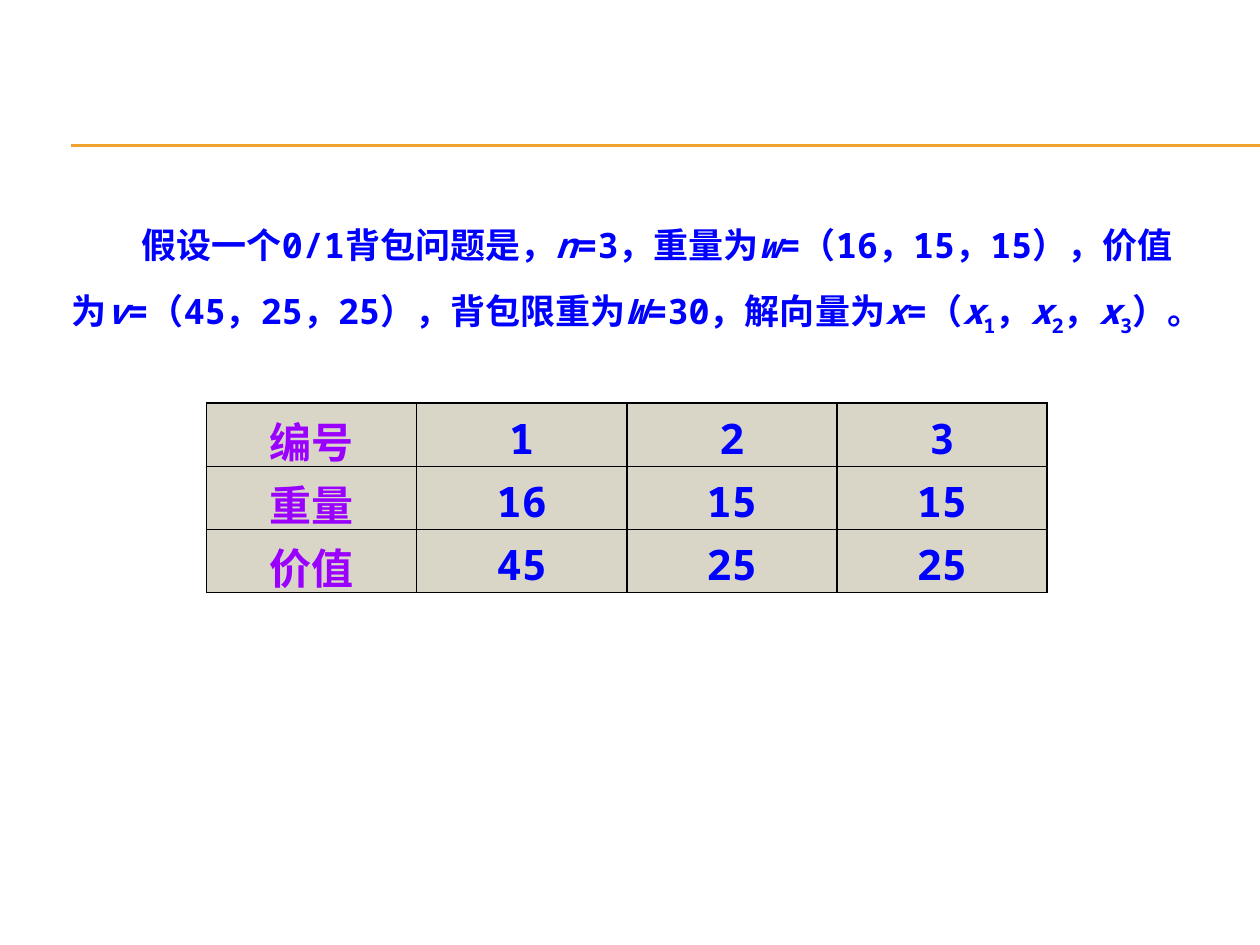
from lxml.etree import SubElement
from pptx import Presentation
from pptx.dml.color import RGBColor
from pptx.enum.shapes import MSO_CONNECTOR as Connector
from pptx.enum.text import MSO_AUTO_SIZE as AutoSize, PP_ALIGN as Align
from pptx.oxml.ns import qn
from pptx.util import Inches, Pt

WIDTH, HEIGHT = 10, 7.5
BLUE, PURPLE, GOLD, BEIGE, BLACK = "0000FF", "9900FF", "F0A22E", "D9D5C7", "000000"


def color(hex_text):
    return RGBColor.from_string(hex_text)


class SlideBuilder:
    """Holds the style and the current slide; lengths are shares of its size."""
    font = "Noto Sans Mono"

    def __init__(self, page):
        self.page = page

    def x(self, share):
        return Inches(WIDTH * share)

    def y(self, share):
        return Inches(HEIGHT * share)

    def span(self, para, text, size, fill, kind="plain"):
        span = para.add_run()
        span.text = text
        font = span.font
        font.name, font.size, font.bold = self.font, Pt(size), True
        font.italic = kind == "italic"
        font.color.rgb = color(fill)
        if kind == "sub":
            font._element.set("baseline", "-25000")

    def rule(self, left, right, top):
        line = self.page.shapes.add_connector(
            Connector.STRAIGHT, self.x(left), self.y(top), self.x(right), self.y(top))
        line.line.color.rgb = color(GOLD)
        line.line.width = Pt(0.75)
        SubElement(line._element.spPr, qn("a:effectLst"))

    def paragraph(self, left, top, width, height, parts, size):
        box = self.page.shapes.add_textbox(
            self.x(left), self.y(top), self.x(width), self.y(height))
        frame = box.text_frame
        frame.word_wrap = True
        frame.auto_size = AutoSize.SHAPE_TO_FIT_TEXT
        para = frame.paragraphs[0]
        para.line_spacing = 1.5
        para.space_before = Pt(size / 2)
        # First line indented by two characters
        props = para._p.get_or_add_pPr()
        props.set("marL", "0")
        props.set("indent", str(Pt(2 * size)))
        for kind, text in parts:
            self.span(para, text, size, BLUE, kind)

    def borders(self, cell):
        props = cell._tc.get_or_add_tcPr()
        for side in ("lnL", "lnR", "lnT", "lnB"):
            edge = SubElement(props, qn(f"a:{side}"), w=str(Pt(1)))
            fill = SubElement(edge, qn("a:solidFill"))
            SubElement(fill, qn("a:srgbClr"), val=BLACK)

    def table(self, left, top, width, height, rows, size):
        table = self.page.shapes.add_table(
            len(rows), len(rows[0]), self.x(left), self.y(top),
            self.x(width), self.y(height)).table
        table.first_row = table.horz_banding = False
        for r, row in enumerate(rows):
            for c, text in enumerate(row):
                cell = table.cell(r, c)
                self.borders(cell)
                cell.fill.solid()
                cell.fill.fore_color.rgb = color(BEIGE)
                para = cell.text_frame.paragraphs[0]
                para.alignment = Align.CENTER
                self.span(para, text, size, BLUE if c else PURPLE)


deck = Presentation()
deck.slide_width, deck.slide_height = Inches(WIDTH), Inches(HEIGHT)
builder = SlideBuilder(deck.slides.add_slide(deck.slide_layouts[6]))

# Double rule under the empty heading area
for top in (1.15, 1.16):
    builder.rule(0.056, 1, top / HEIGHT)

# Problem statement
problem = [
    ("plain", "假设一个0/1背包问题是,".replace(",", ",")), ("italic", "n"),
    ("plain", "=3,重量为"), ("italic", "w"),
    ("plain", "=(16,15,15),价值为"), ("italic", "v"),
    ("plain", "=(45,25,25),背包限重为"), ("italic", "W"),
    ("plain", "=30,解向量为"), ("italic", "x"), ("plain", "=("),
]
for index, ending in (("1", ","), ("2", ","), ("3", ")。")):
    problem += [("italic", "x"), ("sub", index), ("plain", ending)]
# Full-width punctuation throughout
wide = str.maketrans({",": "\uff0c", "(": "\uff08", ")": "\uff09"})
problem = [(kind, text.translate(wide)) for kind, text in problem]
builder.paragraph(0.047, 1.56 / HEIGHT, 0.921, 0.14, problem, 20)

# Items with weight and value
items = [
    ("编号", "1", "2", "3"),
    ("重量", "16", "15", "15"),
    ("价值", "45", "25", "25"),
]
builder.table(0.164, 3.2 / HEIGHT, 0.667, 1.22 / HEIGHT, items, 24)

deck.save("out.pptx")
